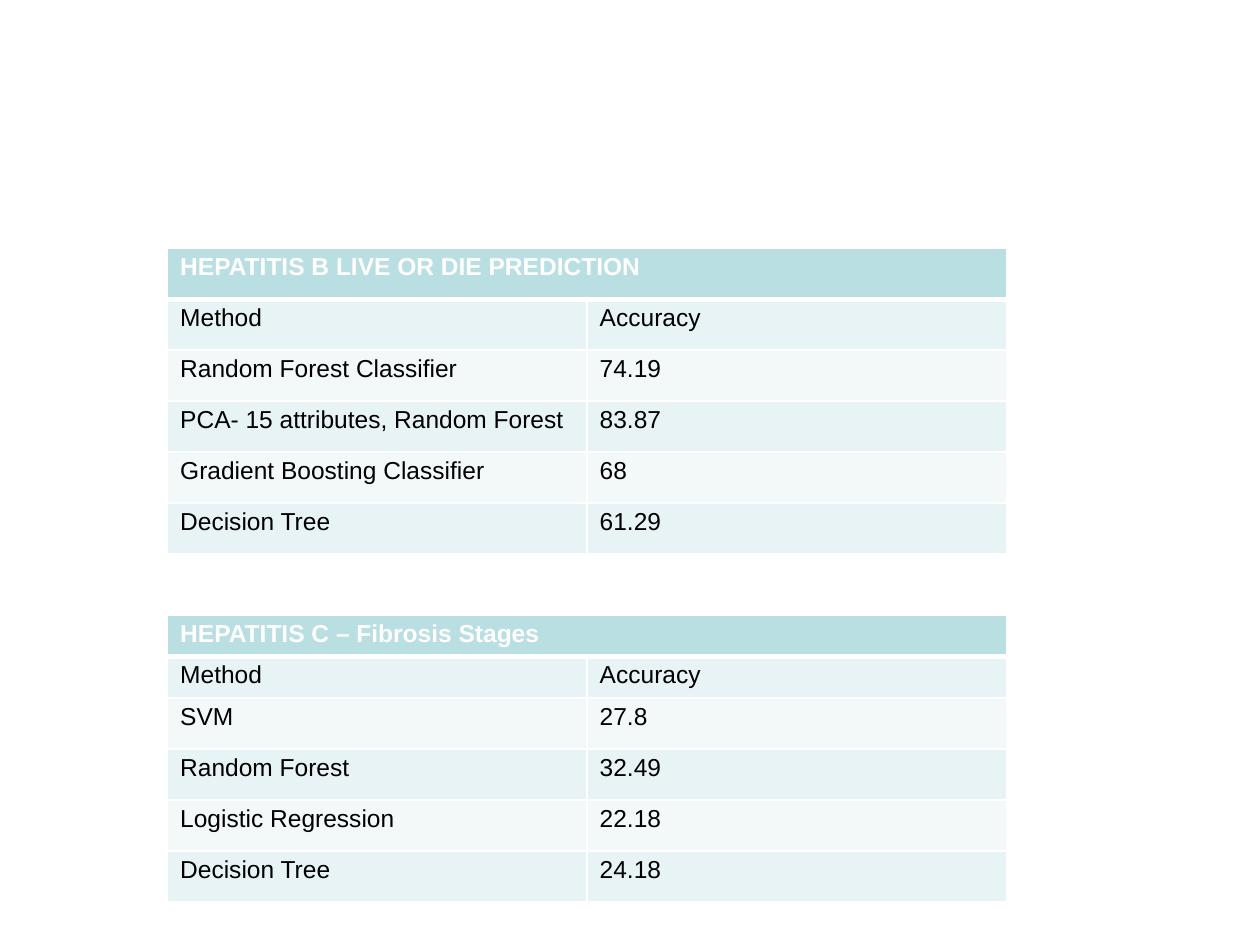
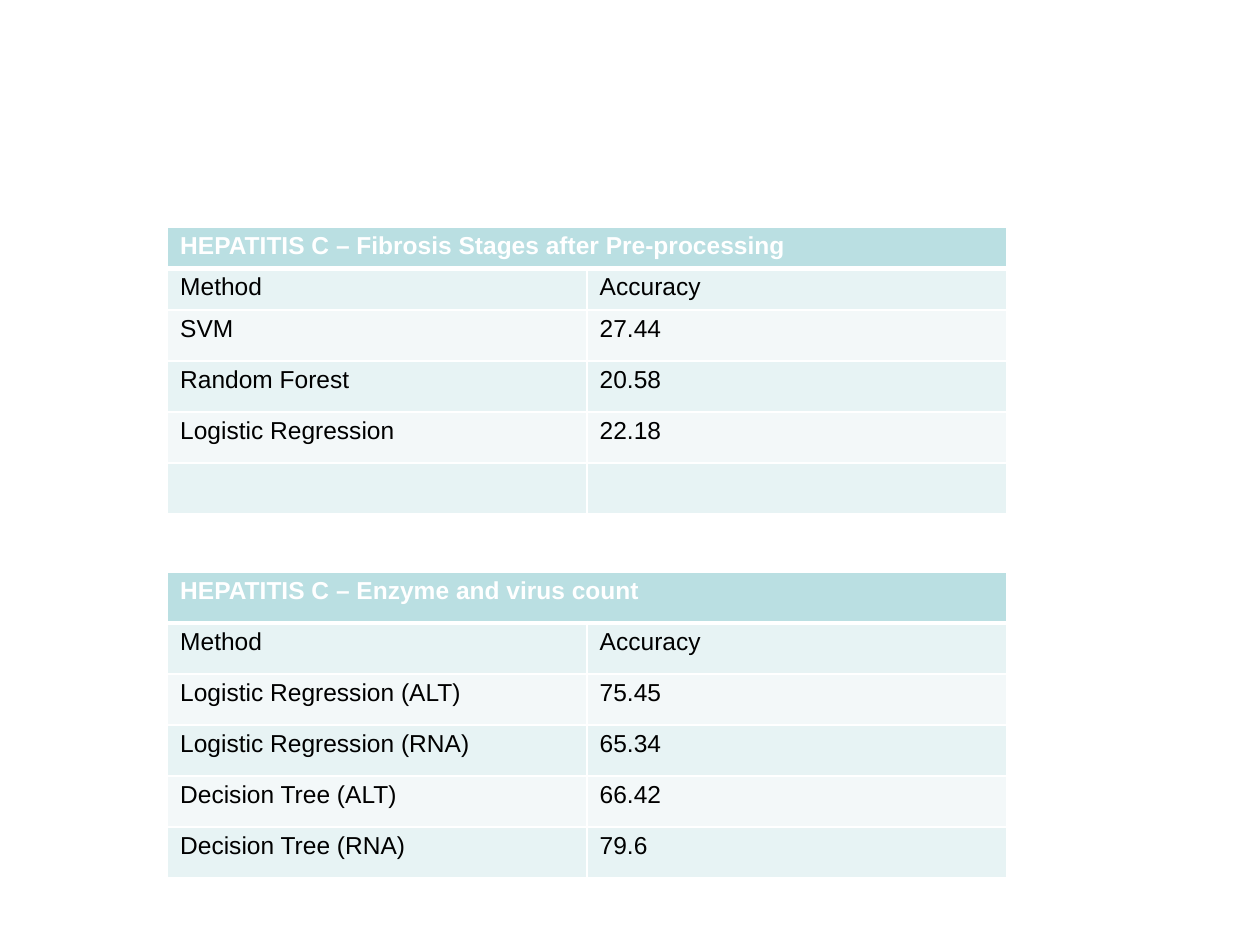
import dataclasses

import lxml.etree
import pptx
import pptx.dml.color
import pptx.oxml.ns
import pptx.util

Inches = pptx.util.Inches
Pt = pptx.util.Pt
RGB = pptx.dml.color.RGBColor.from_string


@dataclasses.dataclass(frozen=True)
class Theme:
    font: str = "Arial"
    size: float = 14
    space_before: float = 3.2
    header_fill: str = "BADFE2"
    band_fills: tuple = ("E7F3F4", "F3F8F9")
    header_text: str = "FFFFFF"
    body_text: str = "000000"
    border: str = "FFFFFF"
    thin: float = 1
    thick: float = 3


THEME = Theme()
TABLE_LEFT, TABLE_WIDTH = 1.33, 6.66
TALL_ROW = 2.43 / 6
SHORT_ROW = 0.33
EVEN_ROWS = [TALL_ROW] * 6
COMPACT_ROWS = [SHORT_ROW] * 2 + [TALL_ROW] * 4

# Each table: top, row heights, title, results
SLIDES = [
    [
        (1.97, EVEN_ROWS, "HEPATITIS B LIVE OR DIE PREDICTION", [
            ("Random Forest Classifier", "74.19"),
            ("PCA- 15 attributes, Random Forest", "83.87"),
            ("Gradient Boosting Classifier", "68"),
            ("Decision Tree", "61.29"),
        ]),
        (4.88, COMPACT_ROWS, "HEPATITIS C – Fibrosis Stages", [
            ("SVM", "27.8"),
            ("Random Forest", "32.49"),
            ("Logistic Regression", "22.18"),
            ("Decision Tree", "24.18"),
        ]),
    ],
    [
        (1.8, COMPACT_ROWS, "HEPATITIS C – Fibrosis Stages after Pre-processing", [
            ("SVM", "27.44"),
            ("Random Forest", "20.58"),
            ("Logistic Regression", "22.18"),
            ("", ""),
        ]),
        (4.54, EVEN_ROWS, "HEPATITIS C – Enzyme and virus count", [
            ("Logistic Regression (ALT)", "75.45"),
            ("Logistic Regression (RNA)", "65.34"),
            ("Decision Tree (ALT)", "66.42"),
            ("Decision Tree (RNA)", "79.6"),
        ]),
    ],
]


def set_borders(cell, top, bottom):
    """Draw the four cell borders; widths in points."""
    qn = pptx.oxml.ns.qn
    tc_pr = cell._tc.get_or_add_tcPr()
    widths = {"a:lnL": THEME.thin, "a:lnR": THEME.thin, "a:lnT": top, "a:lnB": bottom}
    for i, (tag, width) in enumerate(widths.items()):
        ln = lxml.etree.Element(qn(tag), w=str(Pt(width)))
        fill = lxml.etree.SubElement(ln, qn("a:solidFill"))
        lxml.etree.SubElement(fill, qn("a:srgbClr"), val=THEME.border)
        tc_pr.insert(i, ln)


def style_cell(cell, row):
    """Apply the look of the title row (0) or of a banded body row."""
    is_title = row == 0
    cell.margin_left, cell.margin_top = Inches(0.1), Inches(0.04)
    cell.margin_right = cell.margin_bottom = 0
    cell.fill.solid()
    fill = THEME.header_fill if is_title else THEME.band_fills[(row - 1) % 2]
    cell.fill.fore_color.rgb = RGB(fill)
    p = cell.text_frame.paragraphs[0]
    p.space_before = Pt(THEME.space_before)
    p.font.name, p.font.size, p.font.bold = THEME.font, Pt(THEME.size), is_title
    p.font.color.rgb = RGB(THEME.header_text if is_title else THEME.body_text)
    set_borders(cell,
                top=THEME.thick if row == 1 else THEME.thin,
                bottom=THEME.thick if is_title else THEME.thin)


def add_accuracy_table(slide, left, top, width, row_heights, title, results):
    """Place a titled method/accuracy table in the given box."""
    rows = [(title, ""), ("Method", "Accuracy"), *results]
    frame = slide.shapes.add_table(len(rows), 2, Inches(left), Inches(top),
                                   Inches(width), Inches(sum(row_heights)))
    table = frame.table
    table.horz_banding = False
    for column in table.columns:
        column.width = Inches(width / 2)
    for r, (texts, height) in enumerate(zip(rows, row_heights)):
        table.rows[r].height = Inches(height)
        for c, text in enumerate(texts):
            cell = table.cell(r, c)
            cell.text = text
            style_cell(cell, r)
    # Title spans both columns
    table.cell(0, 0).merge(table.cell(0, 1))


def add_results_slide(prs, tables):
    """Add a slide with its stacked accuracy tables."""
    slide = prs.slides.add_slide(prs.slide_layouts[6])
    for top, row_heights, title, results in tables:
        add_accuracy_table(slide, TABLE_LEFT, top, TABLE_WIDTH, row_heights, title, results)


def main():
    prs = pptx.Presentation()
    prs.slide_width, prs.slide_height = Inches(10), Inches(7.5)
    for tables in SLIDES:
        add_results_slide(prs, tables)
    prs.save("out.pptx")


if __name__ == "__main__":
    main()
